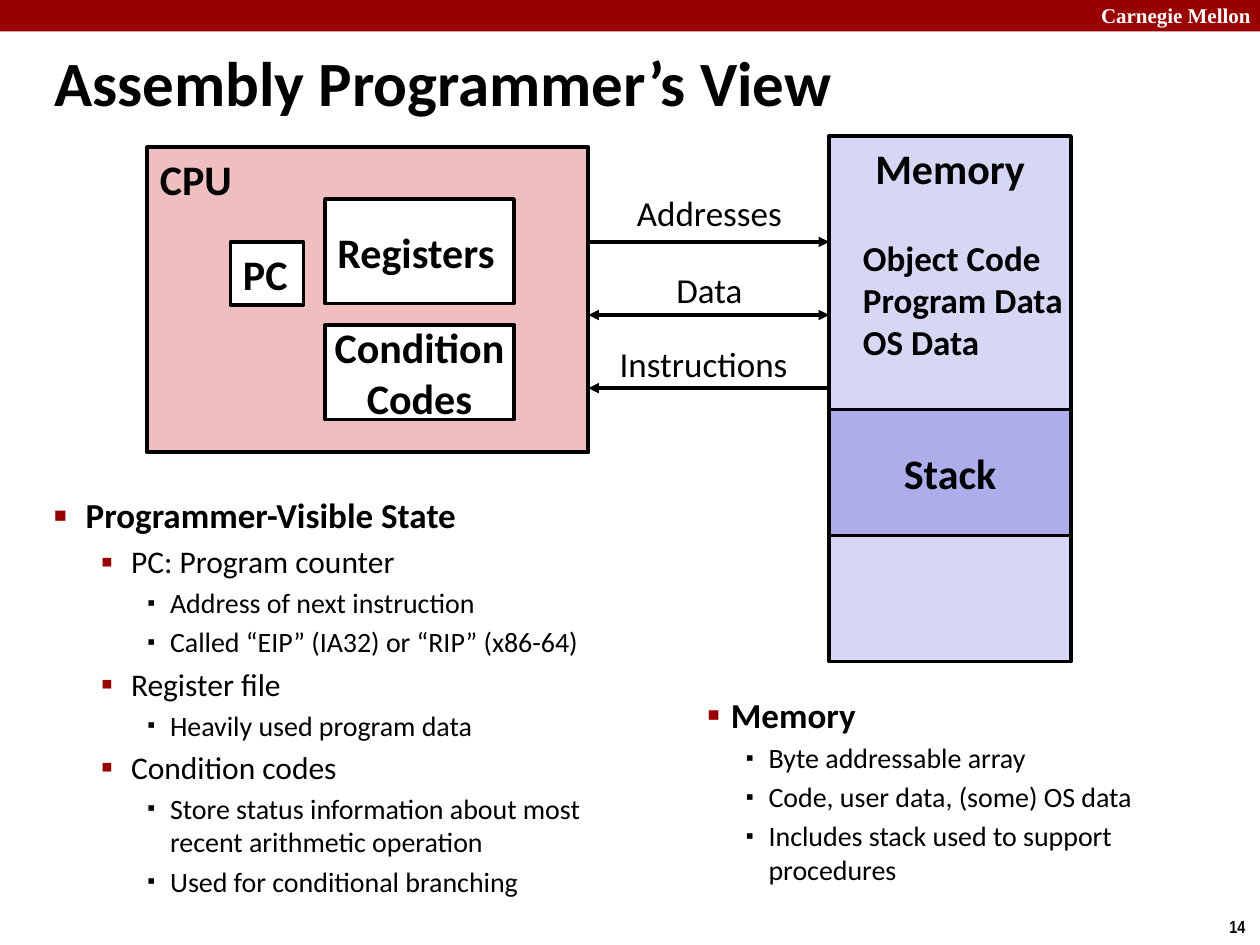
import lxml.etree
import pptx
import pptx.dml.color
import pptx.enum.shapes
import pptx.enum.text
import pptx.oxml.ns
import pptx.util

qn = pptx.oxml.ns.qn
Inches, Pt = pptx.util.Inches, pptx.util.Pt
SHAPE = pptx.enum.shapes.MSO_SHAPE
ALIGN = pptx.enum.text.PP_ALIGN
ANCHOR = pptx.enum.text.MSO_ANCHOR

COLORS = {
    "red": "990000", "cpu": "EFBFBF", "memory": "D6D6F5",
    "stack": "ADADEB", "white": "FFFFFF", "black": "000000",
}
TITLE = {"size": Pt(36), "bold": True, "name": "Calibri"}
HEADING = {"size": Pt(24), "bold": True, "name": "Calibri"}
CONTENTS = {"size": Pt(20), "bold": True, "name": "Calibri"}
LABEL = {"size": Pt(20), "bold": False, "name": "Calibri"}
BRAND = {"size": Pt(12), "bold": True, "name": "Times New Roman"}
NUMBER = {"size": Pt(10), "bold": True, "name": "Arial Narrow"}

SQUARE = {"char": "■", "percent": 60, "color": "red"}
SMALL_RED = {"char": "▪", "percent": 110, "color": "red"}
SMALL_BLACK = {"char": "▪", "percent": 80, "color": "black"}
STATE_LEVELS = {
    0: {"size": 20, "bold": True, "left": 0.25, "hang": 0.25, "bullet": SQUARE},
    1: {"size": 18, "bold": False, "left": 0.61, "hang": 0.24, "bullet": SMALL_RED},
    2: {"size": 16, "bold": False, "left": 0.92, "hang": 0.18, "bullet": SMALL_BLACK},
}
MEMORY_LEVELS = {
    1: {"size": 20, "bold": True, "left": 0.32, "hang": 0.19, "bullet": SMALL_RED},
    2: {"size": 16, "bold": False, "left": 0.62, "hang": 0.18, "bullet": SMALL_BLACK},
}
STATE = [
    (0, "Programmer-Visible State"),
    (1, "PC: Program counter"),
    (2, "Address of next instruction"),
    (2, "Called “EIP” (IA32) or “RIP” (x86-64)"),
    (1, "Register file"),
    (2, "Heavily used program data"),
    (1, "Condition codes"),
    (2, "Store status information about most recent arithmetic operation"),
    (2, "Used for conditional branching"),
]
MEMORY = [
    (1, "Memory"),
    (2, "Byte addressable array"),
    (2, "Code, user data, (some) OS data"),
    (2, "Includes stack used to support procedures"),
]


def rgb(name):
    """Return the named colour."""
    return pptx.dml.color.RGBColor.from_string(COLORS[name])


def add_run(p, text, fmt, color="black"):
    """Add formatted text to a paragraph."""
    r = p.add_run()
    r.text = text
    for key, value in fmt.items():
        setattr(r.font, key, value)
    r.font.color.rgb = rgb(color)


def set_frame(tf, wrap=True, anchor=ANCHOR.TOP):
    """Set wrapping and anchor of a text frame."""
    frame = {"auto_size": pptx.enum.text.MSO_AUTO_SIZE.NONE,
             "word_wrap": wrap, "vertical_anchor": anchor}
    for key, value in frame.items():
        setattr(tf, key, value)


def write_lines(tf, lines, fmt, align=ALIGN.LEFT, color="black"):
    """Write one paragraph for each line."""
    for i, line in enumerate(lines):
        p = tf.add_paragraph() if i else tf.paragraphs[0]
        p.alignment = align
        add_run(p, line, fmt, color)


def add_box(s, at, fill, lines=(), align=ALIGN.LEFT, anchor=ANCHOR.MIDDLE, width=2, wrap=True):
    """Add a filled rectangle with an optional heading."""
    sp = s.shapes.add_shape(SHAPE.RECTANGLE, *map(Inches, at))
    sp.shadow.inherit = False
    sp.fill.solid()
    sp.fill.fore_color.rgb = rgb(fill)
    if width:
        sp.line.color.rgb = rgb("black")
        sp.line.width = Pt(width)
    else:
        sp.line.fill.background()
    set_frame(sp.text_frame, wrap, anchor)
    write_lines(sp.text_frame, lines, HEADING, align)


def add_text(s, at, lines, fmt, align=ALIGN.LEFT, color="black", wrap=True):
    """Add a text box."""
    tf = s.shapes.add_textbox(*map(Inches, at)).text_frame
    set_frame(tf, wrap)
    write_lines(tf, lines, fmt, align, color)


def add_arrow(s, left, right, y, ends):
    """Add a horizontal line with heads at the given ends."""
    sp = s.shapes.add_connector(pptx.enum.shapes.MSO_CONNECTOR.STRAIGHT,
                                Inches(left), Inches(y), Inches(right), Inches(y))
    sp.line.color.rgb = rgb("black")
    sp.line.width = Pt(2)
    ln = sp.line._get_or_add_ln()
    for end in ends:
        lxml.etree.SubElement(ln, qn(f"a:{end}")).set("type", "triangle")
    lxml.etree.SubElement(sp._element.spPr, qn("a:effectLst"))


def add_bullet(p, left, hang, bullet):
    """Give a paragraph its indent and bullet."""
    pPr = p._p.get_or_add_pPr()
    pPr.set("marL", str(Inches(left)))
    pPr.set("indent", str(-Inches(hang)))
    clr = lxml.etree.SubElement(pPr, qn("a:buClr"))
    lxml.etree.SubElement(clr, qn("a:srgbClr")).set("val", COLORS[bullet["color"]])
    lxml.etree.SubElement(pPr, qn("a:buSzPct")).set("val", str(bullet["percent"] * 1000))
    lxml.etree.SubElement(pPr, qn("a:buChar")).set("char", bullet["char"])


def place(sp, at):
    """Move and size a placeholder."""
    for key, value in zip(("left", "top", "width", "height"), at):
        setattr(sp, key, Inches(value))


def fill_list(sp, at, items, levels):
    """Fill a body placeholder with a bulleted list."""
    place(sp, at)
    tf = sp.text_frame
    set_frame(tf)
    for i, (level, text) in enumerate(items):
        p = tf.add_paragraph() if i else tf.paragraphs[0]
        style = levels[level]
        p.level = level
        add_bullet(p, style["left"], style["hang"], style["bullet"])
        p.space_before = Pt(0.2 * style["size"] if i else 0)
        add_run(p, text, {"size": Pt(style["size"]), "bold": style["bold"], "name": "Calibri"})


def fill_title(sp, at, text):
    """Fill the title placeholder."""
    place(sp, at)
    set_frame(sp.text_frame, anchor=ANCHOR.MIDDLE)
    write_lines(sp.text_frame, [text], TITLE)


def main():
    """Build the slide and save it."""
    prs = pptx.Presentation()
    prs.slide_width, prs.slide_height = Inches(10), Inches(7.5)
    s = prs.slides.add_slide(prs.slide_layouts[3])
    title, state, memory = s.placeholders

    add_box(s, (0, 0, 10, 0.25), "red", width=0)
    add_text(s, (8.64, -0.03, 1.43, 0.3), ["Carnegie Mellon"], BRAND, color="white")
    add_text(s, (9.66, 7.22, 0.34, 0.27), ["14"], NUMBER, wrap=False)
    fill_title(title, (0.33, 0.33, 7.9, 0.63), "Assembly Programmer’s View")

    add_box(s, (1.17, 1.17, 3.5, 2.42), "cpu", ["CPU"], anchor=ANCHOR.TOP, width=2.25)
    add_box(s, (1.83, 1.92, 0.58, 0.5), "white", ["PC"])
    add_box(s, (2.58, 1.58, 1.5, 0.83), "white", ["Registers"])
    add_box(s, (2.58, 2.58, 1.5, 0.75), "white", ["Condition", "Codes"], ALIGN.CENTER, wrap=False)

    add_box(s, (6.58, 1.08, 1.92, 4.17), "memory", ["Memory"], ALIGN.CENTER, ANCHOR.TOP)
    add_box(s, (6.58, 3.25, 1.92, 1), "stack", ["Stack"], ALIGN.CENTER)
    add_text(s, (6.75, 1.83, 1.92, 1.11), ["Object Code", "Program Data", "OS Data"], CONTENTS)

    buses = [
        ("Addresses", 1.47, 1.92, 1.92, ["tailEnd"]),
        ("Data", 2.08, 1.92, 2.5, ["headEnd", "tailEnd"]),
        ("Instructions", 2.67, 1.83, 3.08, ["headEnd"]),
    ]
    for name, top, width, y, ends in buses:
        add_arrow(s, 4.67, 6.58, y, ends)
        add_text(s, (4.67, top, width, 0.43), [name], LABEL, ALIGN.CENTER)

    fill_list(state, (0.33, 3.87, 4.77, 3.38), STATE, STATE_LEVELS)
    fill_list(memory, (5.38, 5.45, 4.46, 1.72), MEMORY, MEMORY_LEVELS)
    prs.save("out.pptx")


if __name__ == "__main__":
    main()
